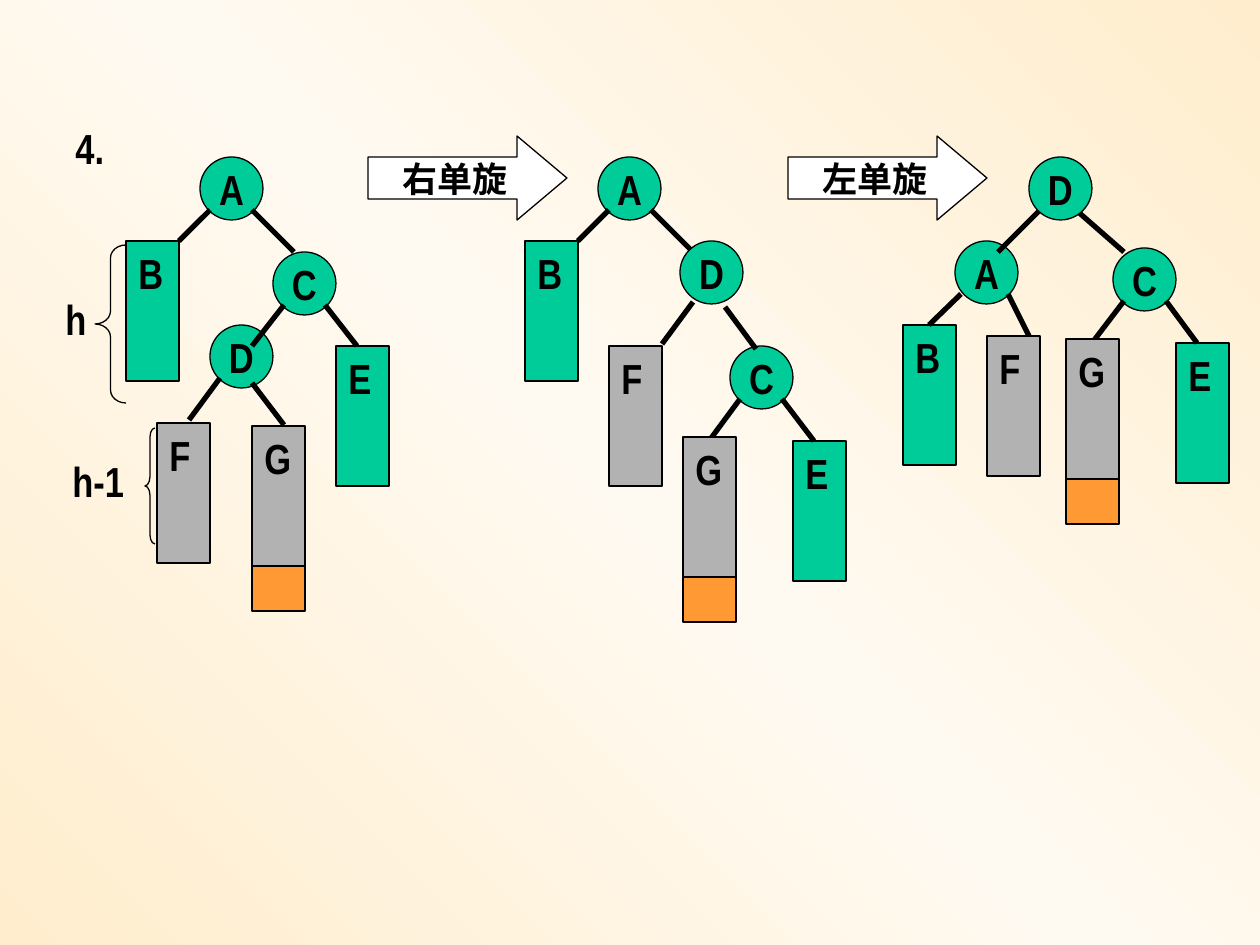
from copy import deepcopy
from lxml.etree import SubElement
from pptx import Presentation
from pptx.dml.color import RGBColor
from pptx.enum.shapes import MSO_CONNECTOR, MSO_SHAPE
from pptx.enum.text import MSO_ANCHOR, PP_ALIGN
from pptx.oxml.ns import qn
from pptx.util import Pt

PX = 914400 / 126
GREEN, GRAY, ORANGE, WHITE, BLACK = "00CC99", "B2B2B2", "FF9933", "FFFFFF", "000000"
BACKDROP = ["FFEDCD", "FFFAF1", "FFEDCD"]
NODE, SUBTREE_W, SUBTREE_H = 63, 53, 140
INSERTED_DROP, INSERTED_H = 121, 64

ROTATIONS = [("右单旋", 368), ("左单旋", 788)]
LABELS = [("4.", 63, 116, 168), ("h", 53, 287, 53), ("h-1", 60, 449, 105)]
BRACES = [(95, 245, 31, 158, 0.417), (145, 428, 10, 116, 0.917)]

TREES = [
    {"nodes": [("D", 210, 325), ("A", 200, 157), ("C", 273, 252)],
     "subtrees": [("B", 126, 241, GREEN), ("E", 336, 346, GREEN), ("F", 157, 423, GRAY)],
     "edges": [(210, 210, 179, 241), (252, 210, 294, 252), (284, 305, 252, 346),
               (325, 305, 357, 346), (220, 378, 189, 420), (252, 383, 284, 425)],
     "grown": ("G", 252, 426, GRAY), "front": []},
    {"nodes": [("A", 598, 157), ("C", 730, 346)],
     "subtrees": [("B", 525, 241, GREEN), ("E", 793, 441, GREEN), ("F", 609, 346, GRAY)],
     "edges": [(609, 210, 578, 241), (651, 210, 693, 252), (740, 399, 709, 441),
               (782, 399, 814, 441), (693, 302, 662, 344), (725, 307, 756, 349)],
     "grown": ("G", 683, 437, GRAY), "front": [("D", 680, 241)]},
    {"nodes": [("A", 955, 241), ("C", 1113, 248)],
     "subtrees": [("B", 903, 325, GREEN), ("E", 1176, 343, GREEN), ("F", 987, 336, GRAY)],
     "edges": [(961, 294, 929, 325), (1008, 294, 1029, 336), (1124, 301, 1092, 343),
               (1166, 301, 1197, 343), (1040, 210, 998, 252), (1076, 210, 1124, 252)],
     "grown": ("G", 1066, 339, GRAY), "front": [("D", 1029, 157)]},
]


def emu(*lengths):
    return [round(length * PX) for length in lengths]


def color(value):
    return RGBColor.from_string(value)


def write(holder, text, size=24, align=PP_ALIGN.LEFT, anchor=MSO_ANCHOR.TOP, wrap=True):
    frame = holder.text_frame
    frame.word_wrap = wrap
    frame.vertical_anchor = anchor
    paragraph = frame.paragraphs[0]
    paragraph.text = text
    paragraph.alignment = align
    font = paragraph.font
    font.name, font.size, font.bold = "Arial Narrow", Pt(size), True
    font.color.rgb = color(BLACK)


def draw(shapes, kind, box, fill=None):
    shape = shapes.add_shape(kind, *emu(*box))
    shape.shadow.inherit = False
    if fill:
        shape.fill.solid()
        shape.fill.fore_color.rgb = color(fill)
    else:
        shape.fill.background()
    shape.line.color.rgb = color(BLACK)
    shape.line.width = Pt(0.75)
    return shape


def write_centered(shape, text, size=24):
    write(shape, text, size=size, align=PP_ALIGN.CENTER, anchor=MSO_ANCHOR.MIDDLE, wrap=False)


def draw_node(shapes, name, x, y):
    write_centered(draw(shapes, MSO_SHAPE.OVAL, (x, y, NODE, NODE), GREEN), name)


def draw_subtree(shapes, name, x, y, fill):
    write(draw(shapes, MSO_SHAPE.RECTANGLE, (x, y, SUBTREE_W, SUBTREE_H), fill), name)


def draw_edge(shapes, ends):
    edge = shapes.add_connector(MSO_CONNECTOR.STRAIGHT, *emu(*ends))
    edge.line.color.rgb = color(BLACK)
    edge.line.width = Pt(3)
    SubElement(edge._element.spPr, qn("a:effectLst"))


def draw_tree(shapes, tree):
    _, x, y, _ = tree["grown"]
    draw(shapes, MSO_SHAPE.RECTANGLE, (x, y + INSERTED_DROP, SUBTREE_W, INSERTED_H), ORANGE)
    for node in tree["nodes"]:
        draw_node(shapes, *node)
    for subtree in tree["subtrees"]:
        draw_subtree(shapes, *subtree)
    for ends in tree["edges"]:
        draw_edge(shapes, ends)
    draw_subtree(shapes, *tree["grown"])
    for node in tree["front"]:
        draw_node(shapes, *node)


def paint_background(slide):
    fill = slide.background.fill
    fill.gradient()
    fill.gradient_angle = 45
    first = slide.background._cSld.find(".//" + qn("a:gs"))
    first.addnext(deepcopy(first))
    for index, (stop, shade) in enumerate(zip(fill.gradient_stops, BACKDROP)):
        stop.color.rgb = color(shade)
        stop.position = index / 2


def main():
    deck = Presentation()
    deck.slide_width, deck.slide_height = emu(1260, 945)
    slide = deck.slides.add_slide(deck.slide_layouts[6])
    paint_background(slide)

    for text, x in ROTATIONS:
        arrow = draw(slide.shapes, MSO_SHAPE.RIGHT_ARROW, (x, 136, 199, 84), WHITE)
        arrow.adjustments[0], arrow.adjustments[1] = 0.5, 0.594
        write_centered(arrow, text, size=20)

    for tree in TREES:
        draw_tree(slide.shapes.add_group_shape().shapes, tree)

    for text, x, y, width in LABELS:
        write(slide.shapes.add_textbox(*emu(x, y, width, 63)), text)
    for *box, curl in BRACES:
        brace = draw(slide.shapes, MSO_SHAPE.LEFT_BRACE, box)
        brace.adjustments[0] = curl

    deck.save("out.pptx")


if __name__ == "__main__":
    main()
